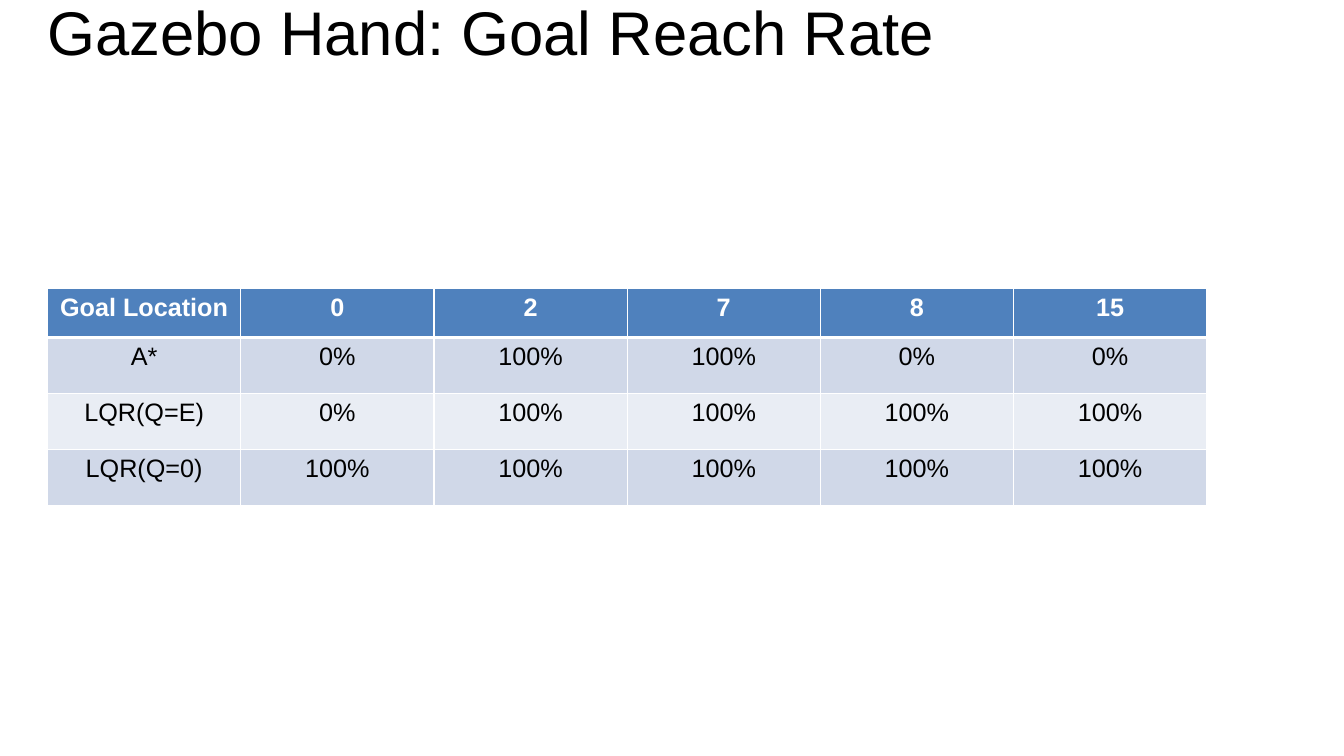
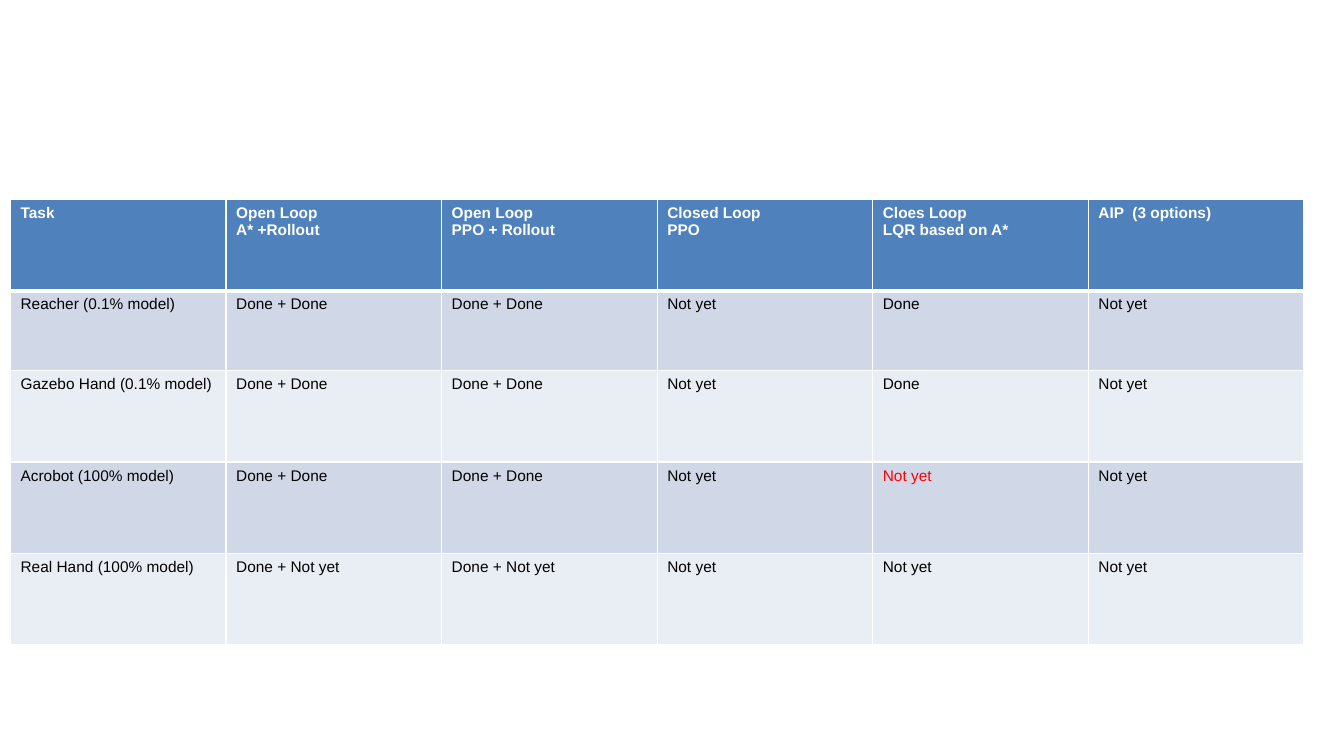
from lxml.etree import SubElement
from pptx import Presentation
from pptx.dml.color import RGBColor
from pptx.enum.text import MSO_ANCHOR, PP_ALIGN
from pptx.oxml.ns import qn
from pptx.util import Pt

WHITE = RGBColor(0xFF, 0xFF, 0xFF)
BLACK = RGBColor(0, 0, 0)
RED = RGBColor(0xFF, 0, 0)
HEADER_BLUE = RGBColor(0x4F, 0x81, 0xBD)
BANDS = (RGBColor(0xD0, 0xD8, 0xE8), RGBColor(0xE9, 0xED, 0xF4))

GOAL_RATES = [
    ["Goal Location", "0", "2", "7", "8", "15"],
    ["A*", "0%", "100%", "100%", "0%", "0%"],
    ["LQR(Q=E)", "0%", "100%", "100%", "100%", "100%"],
    ["LQR(Q=0)", "100%", "100%", "100%", "100%", "100%"],
]
TASK_STATUS = [
    ["Task", "Open Loop\nA* +Rollout", "Open Loop\nPPO + Rollout",
     "Closed Loop\nPPO", "Cloes Loop\nLQR based on A*", "AIP  (3 options)"],
    ["Reacher (0.1% model)", "Done + Done", "Done + Done", "Not yet", "Done", "Not yet"],
    ["Gazebo Hand (0.1% model)", "Done + Done", "Done + Done", "Not yet", "Done", "Not yet"],
    ["Acrobot (100% model)", "Done + Done", "Done + Done", "Not yet", "Not yet", "Not yet"],
    ["Real Hand (100% model)", "Done + Not yet", "Done + Not yet", "Not yet", "Not yet", "Not yet"],
]


class Deck:
    font = "Arial"
    title_format = {"size": Pt(44), "bold": False}
    thin, thick = Pt(1), Pt(3)

    def __init__(self):
        self.prs = Presentation()
        self.prs.slide_width, self.prs.slide_height = Pt(960), Pt(540)
        self.s = None

    def slide(self):
        self.s = self.prs.slides.add_slide(self.prs.slide_layouts[6])

    def fill_text(self, tf, text, color, formats, align=PP_ALIGN.LEFT):
        tf.text = text
        for p in tf.paragraphs:
            p.alignment = align
            for r in p.runs:
                r.font.color.rgb = color
                for name, value in {"name": self.font, **formats}.items():
                    setattr(r.font, name, value)

    def title(self, text):
        tf = self.s.shapes.add_textbox(Pt(34), Pt(-26.6), Pt(828), Pt(104.4)).text_frame
        settings = {"word_wrap": True, "vertical_anchor": MSO_ANCHOR.MIDDLE,
                    "margin_left": 0, "margin_right": 0,
                    "margin_top": 0, "margin_bottom": 0}
        for name, value in settings.items():
            setattr(tf, name, value)
        self.fill_text(tf, text, BLACK, self.title_format)
        tf.paragraphs[0].line_spacing = 0.9

    def borders(self, cell, row):
        """White cell edges, thicker between the header and the body."""
        widths = {"a:lnL": self.thin, "a:lnR": self.thin,
                  "a:lnT": self.thick if row == 1 else self.thin,
                  "a:lnB": self.thick if row == 0 else self.thin}
        tc_pr = cell._tc.get_or_add_tcPr()
        for tag, width in widths.items():
            ln = SubElement(tc_pr, qn(tag), w=str(width))
            fill = SubElement(ln, qn("a:solidFill"))
            SubElement(fill, qn("a:srgbClr"), val=str(WHITE))

    def table(self, rows, left, top, col_width, heights, size, align, marked=()):
        """Banded table; marked holds the (row, column) pairs in red."""
        n_cols = len(rows[0])
        table = self.s.shapes.add_table(
            len(rows), n_cols, Pt(left), Pt(top),
            Pt(col_width * n_cols), Pt(sum(heights))).table
        for col in table.columns:
            col.width = Pt(col_width)
        for i, (texts, height) in enumerate(zip(rows, heights)):
            table.rows[i].height = Pt(height)
            header = i == 0
            for j, text in enumerate(texts):
                cell = table.cell(i, j)
                self.borders(cell, i)
                cell.fill.solid()
                cell.fill.fore_color.rgb = HEADER_BLUE if header else BANDS[(i - 1) % 2]
                color = WHITE if header else RED if (i, j) in marked else BLACK
                self.fill_text(cell.text_frame, text, color,
                               {"size": Pt(size), "bold": header}, align)


def main():
    deck = Deck()
    deck.slide()
    deck.title("Gazebo Hand: Goal Reach Rate")
    deck.table(GOAL_RATES, 34, 206, 138, [35] + [40] * 3, 18, PP_ALIGN.CENTER)

    deck.slide()
    deck.table(TASK_STATUS, 7.5, 142.5, 154, [65.3, 57] + [65.3] * 3, 11,
               PP_ALIGN.LEFT, marked=[(3, 4)])
    deck.prs.save("out.pptx")


if __name__ == "__main__":
    main()
